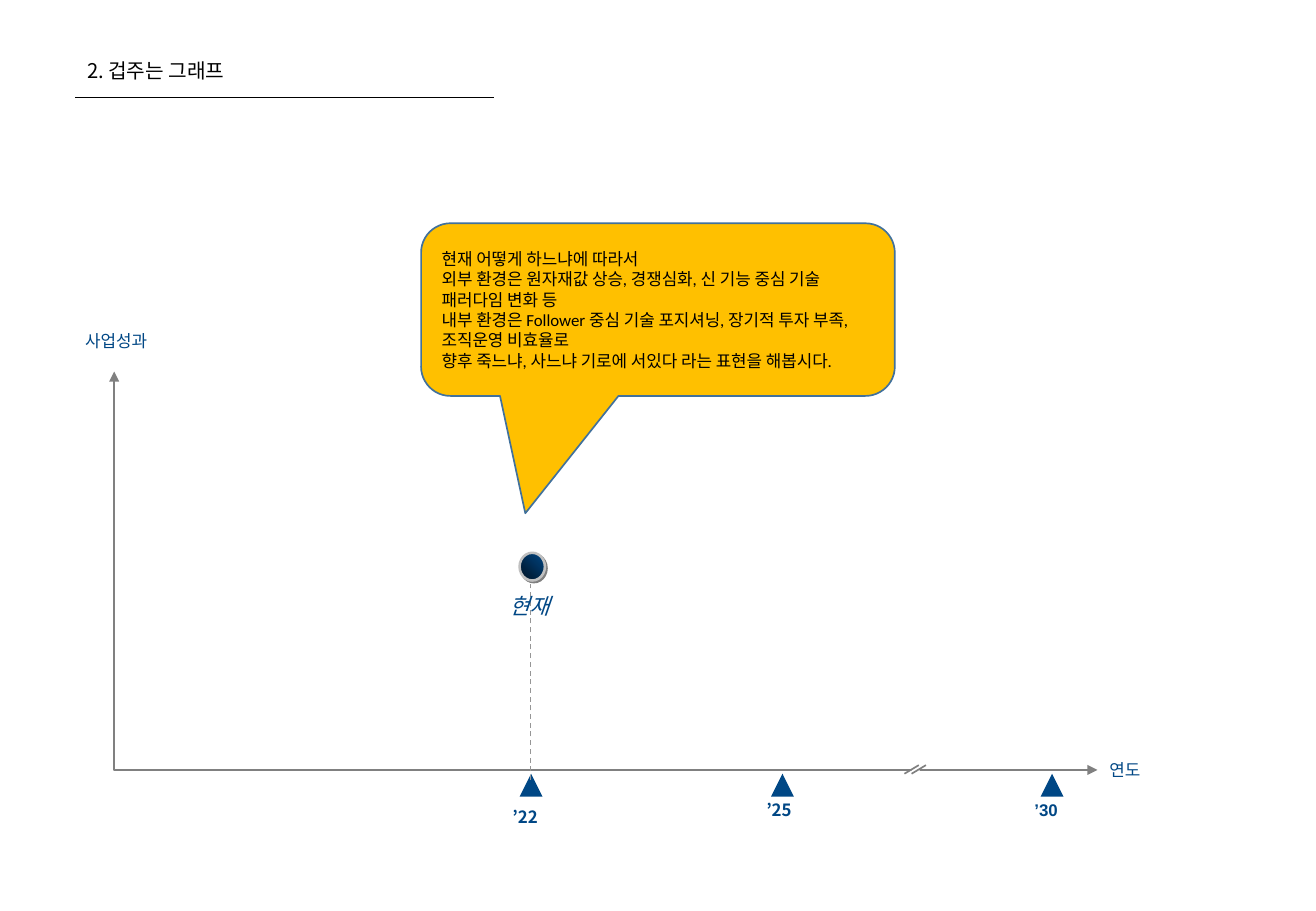
from dataclasses import dataclass

from lxml import etree
from pptx import Presentation
from pptx import util as u
from pptx.dml import color
from pptx.enum import dml, shapes, text
from pptx.oxml import ns

COLORS = {
    "black": "000000", "navy": "004785", "midnight": "001222", "axis": "808080",
    "guide": "969696", "silver": "C0C0C0", "amber": "FFC000",
    "callout_edge": "41719C", "white": "FFFFFF",
}
KOREAN = "Noto Sans CJK KR"
AXIS_X, AXIS_TOP, AXIS_Y, AXIS_END = 2.39, 7.77, 16.1, 22.96
NOW_X = 11.1
BREAK_STRIPE_LEFTS = (18.92, 19.07)
CALLOUT_PARAGRAPHS = (
    "현재 어떻게 하느냐에 따라서\v외부 환경은 원자재값 상승, 경쟁심화, 신 기능 중심 기술 패러다임 변화 등",
    "내부 환경은 Follower 중심 기술 포지셔닝, 장기적 투자 부족, 조직운영 비효율로",
    "향후 죽느냐, 사느냐 기로에 서있다 라는 표현을 해봅시다.",
)


@dataclass
class Label:
    words: str
    left: float
    top: float
    width: float
    height: float
    font: str = KOREAN
    size: float = 10
    bold: bool = False
    italic: bool = False
    anchor: text.MSO_ANCHOR = text.MSO_ANCHOR.TOP


@dataclass
class Year:
    label: Label
    marker_left: float


LABELS = (
    Label("연도", 22.3, 15.75, 2.46, 0.69, "Arial"),
    Label("사업성과", 1.35, 6.78, 2.16, 0.69, "Arial"),
    Label("현재", 9.91, 12.27, 2.34, 0.81, size=13, italic=True),
)
YEARS = (
    Year(Label("’22", 9.65, 16.84, 2.67, 0.48, bold=True, anchor=text.MSO_ANCHOR.MIDDLE), 10.87),
    Year(Label("’25", 14.96, 16.59, 2.67, 0.69, bold=True, anchor=text.MSO_ANCHOR.MIDDLE), 16.13),
    Year(Label("’30", 20.55, 16.59, 2.67, 0.69, "Arial", bold=True), 21.77),
)


def rgb(name: str) -> color.RGBColor:
    return color.RGBColor.from_string(COLORS[name])


def add_xml(parent, tag: str, **attributes: str):
    return etree.SubElement(parent, ns.qn(tag), attributes)


def set_line(line, name: str, width: float) -> None:
    line.color.rgb = rgb(name)
    line.width = u.Pt(width)


def write(shape, paragraphs, font: str, size: float, name: str, align,
          anchor, bold: bool = False, italic: bool = False) -> None:
    frame = shape.text_frame
    frame.word_wrap = True
    frame.auto_size = text.MSO_AUTO_SIZE.NONE
    frame.vertical_anchor = anchor
    frame.margin_left = frame.margin_right = u.Cm(0.25)
    frame.margin_top = frame.margin_bottom = u.Cm(0.13)
    for index, words in enumerate(paragraphs):
        paragraph = frame.add_paragraph() if index else frame.paragraphs[0]
        paragraph.text = words
        paragraph.alignment = align
        for run in paragraph.runs:
            run.font.name, run.font.size = font, u.Pt(size)
            run.font.bold, run.font.italic = bold, italic
            run.font.color.rgb = rgb(name)
            add_xml(run.font._element, "a:ea", typeface=KOREAN)


def add_label(slide, label: Label) -> None:
    box = slide.shapes.add_textbox(
        u.Cm(label.left), u.Cm(label.top), u.Cm(label.width), u.Cm(label.height))
    write(box, [label.words], label.font, label.size, "navy",
          text.PP_ALIGN.CENTER, label.anchor, label.bold, label.italic)


def add_line(slide, start: tuple, end: tuple, name: str, width: float):
    connector = slide.shapes.add_connector(
        shapes.MSO_CONNECTOR.STRAIGHT, *map(u.Cm, start + end))
    set_line(connector.line, name, width)
    add_xml(connector._element.spPr, "a:effectLst")
    return connector


def add_figure(slide, kind, left: float, top: float, width: float, height: float,
               fill: str, edge: str = "", edge_width: float = 1):
    shape = slide.shapes.add_shape(kind, u.Cm(left), u.Cm(top), u.Cm(width), u.Cm(height))
    shape.fill.solid()
    shape.fill.fore_color.rgb = rgb(fill)
    if edge:
        set_line(shape.line, edge, edge_width)
    else:
        shape.line.fill.background()
    shape.shadow.inherit = False
    return shape


def add_title(slide) -> None:
    add_line(slide, (1.57, 2.03), (10.34, 2.03), "black", 0.5)
    title = slide.shapes.title
    title.left, title.top, title.width, title.height = map(u.Cm, (1.57, 1.09, 5.46, 0.76))
    write(title, ["2. 겁주는 그래프"], KOREAN, 12, "black",
          text.PP_ALIGN.LEFT, text.MSO_ANCHOR.TOP)


def add_axes(slide) -> None:
    builder = slide.shapes.build_freeform(u.Cm(AXIS_X), u.Cm(AXIS_TOP))
    builder.add_line_segments(
        [(u.Cm(AXIS_X), u.Cm(AXIS_Y)), (u.Cm(AXIS_END), u.Cm(AXIS_Y))], close=False)
    axes = builder.convert_to_shape()
    axes.fill.background()
    axes.shadow.inherit = False
    set_line(axes.line, "axis", 1)
    for tag in ("a:headEnd", "a:tailEnd"):
        add_xml(axes.line._get_or_add_ln(), tag, type="triangle")


def add_axis_break(slide) -> None:
    add_figure(slide, shapes.MSO_SHAPE.FLOWCHART_EXTRACT, 18.95, 16.03, 0.41, 0.28,
               "white", "white")
    for left in BREAK_STRIPE_LEFTS:
        add_line(slide, (left + 0.3, 16), (left, 16.18), "axis", 1)


def add_now_marker(slide) -> None:
    marker = add_figure(slide, shapes.MSO_SHAPE.OVAL, 10.87, 11.56, 0.53, 0.58,
                        "navy", "silver", 1.5)
    marker.fill.gradient()
    marker.fill.gradient_angle = 225
    for stop, name in zip(marker.fill.gradient_stops, ("navy", "midnight")):
        stop.color.rgb = rgb(name)
    effects = marker._element.spPr.find(ns.qn("a:effectLst"))
    shadow = add_xml(effects, "a:outerShdw", dist=str(u.Pt(1.4)), dir="2700000",
                     algn="ctr", rotWithShape="0")
    add_xml(shadow, "a:srgbClr", val=COLORS["axis"])


def add_callout(slide) -> None:
    callout = add_figure(slide, shapes.MSO_SHAPE.ROUNDED_RECTANGULAR_CALLOUT,
                         8.81, 4.67, 9.91, 3.61, "amber", "callout_edge")
    for index, value in enumerate((-0.28, 1.18, 0.17)):
        callout.adjustments[index] = value
    write(callout, CALLOUT_PARAGRAPHS, "Calibri", 10, "black",
          text.PP_ALIGN.LEFT, text.MSO_ANCHOR.MIDDLE)


def main() -> None:
    presentation = Presentation()
    presentation.slide_width, presentation.slide_height = u.Cm(27.53), u.Cm(19.05)
    slide = presentation.slides.add_slide(presentation.slide_layouts[5])

    # Heading and axes
    add_title(slide)
    add_axes(slide)
    add_axis_break(slide)

    # Years along the horizontal axis
    for year in YEARS:
        add_figure(slide, shapes.MSO_SHAPE.ISOSCELES_TRIANGLE,
                   year.marker_left, 16.18, 0.48, 0.48, "navy")
        add_label(slide, year.label)

    # Present position with its guide line
    guide = add_line(slide, (NOW_X, 16.31), (NOW_X, 12.14), "guide", 0.75)
    guide.line.dash_style = dml.MSO_LINE.DASH
    for label in LABELS:
        add_label(slide, label)
    add_now_marker(slide)

    # Message
    add_callout(slide)
    presentation.save("out.pptx")


if __name__ == "__main__":
    main()
